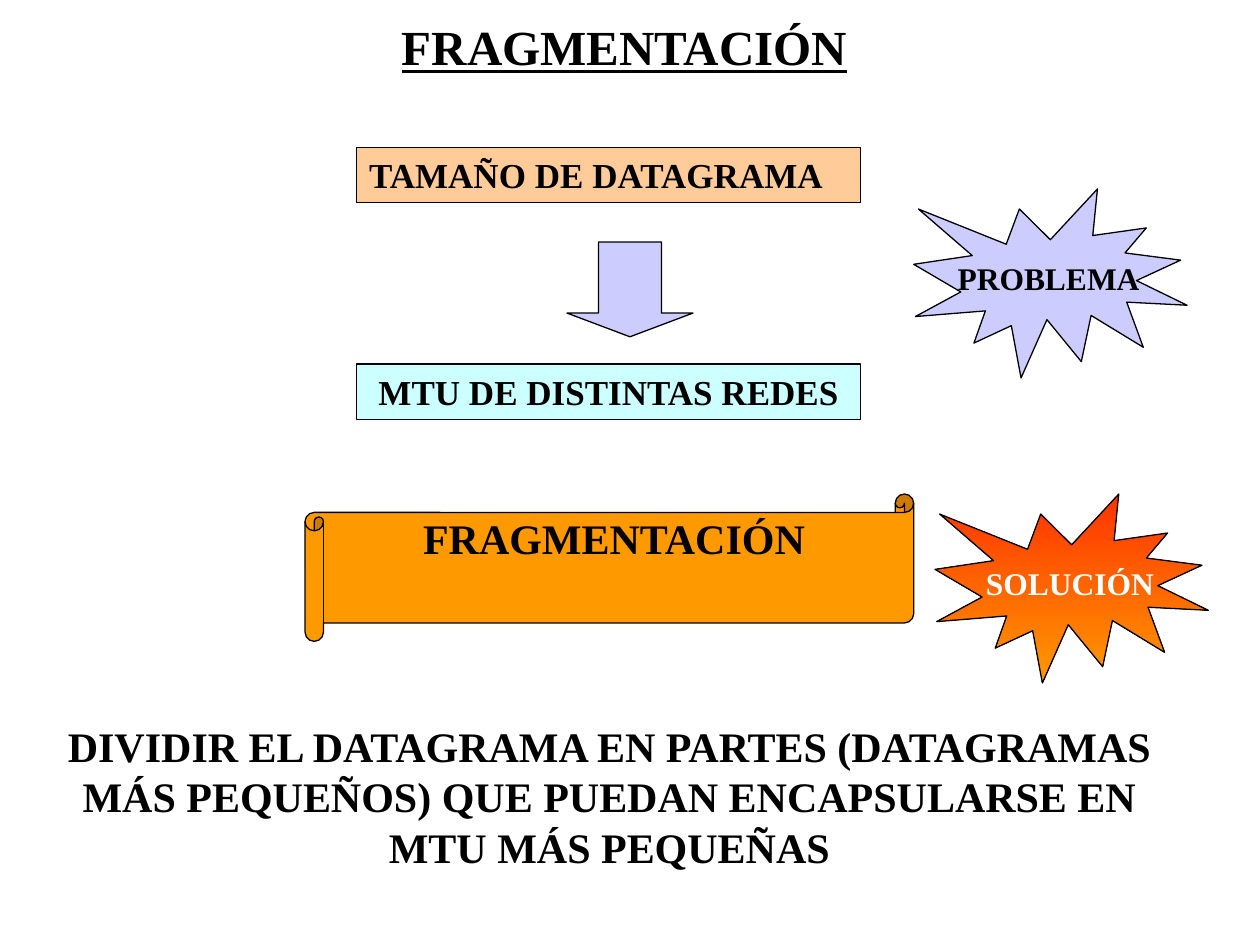
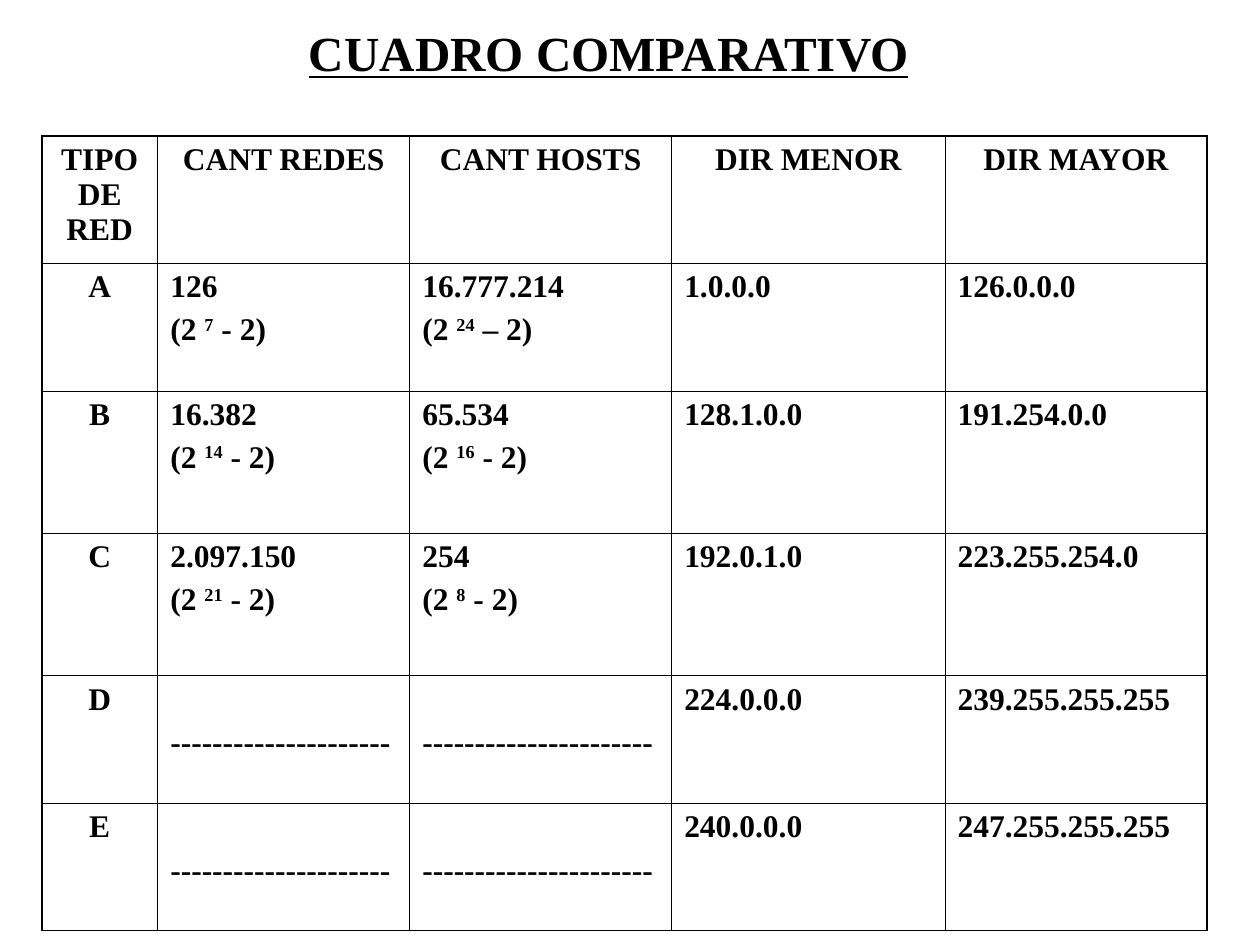
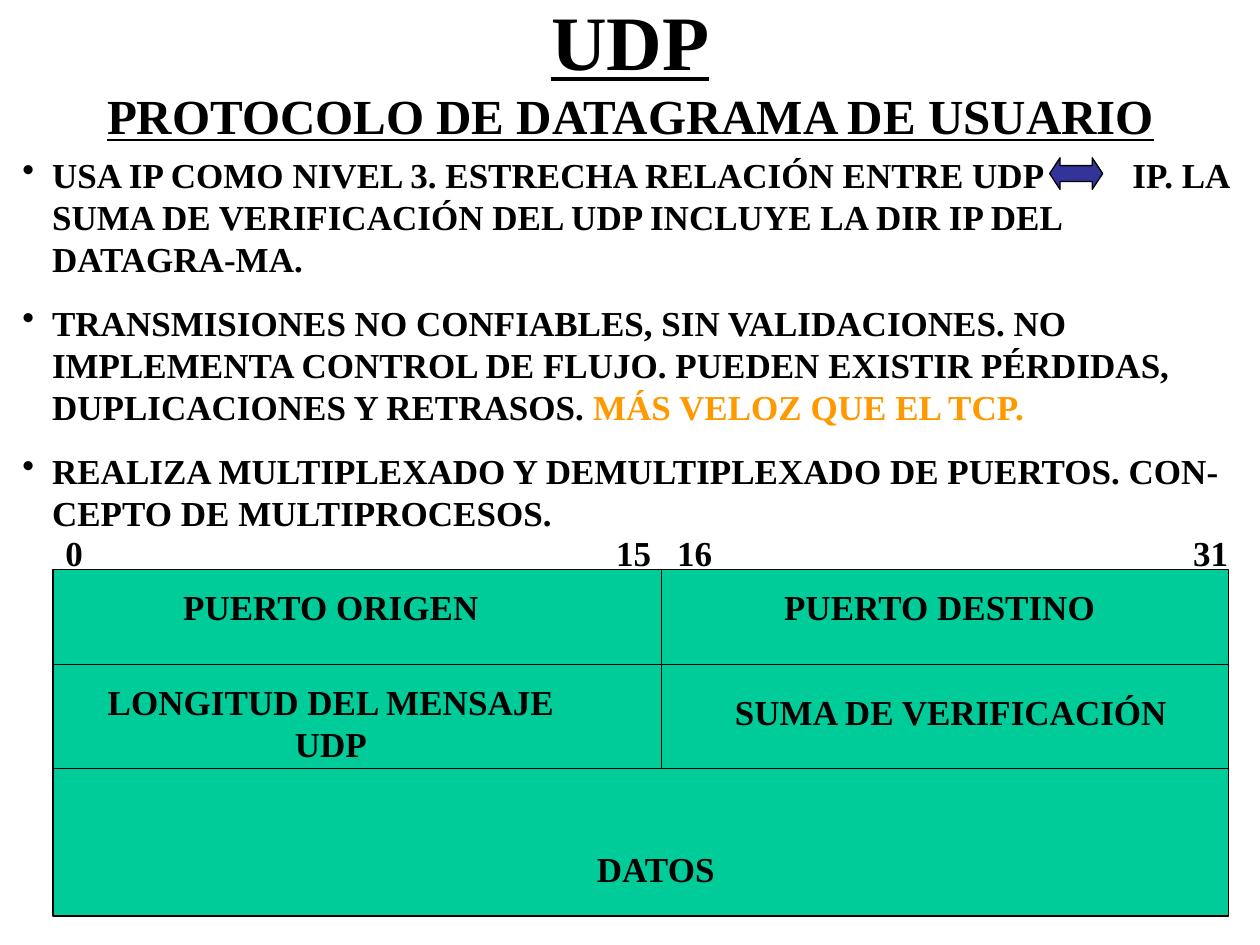
from dataclasses import dataclass
from typing import Any

from lxml.etree import SubElement
from pptx import Presentation
from pptx.dml.color import RGBColor
from pptx.enum.shapes import MSO_CONNECTOR, MSO_SHAPE
from pptx.enum.text import MSO_ANCHOR, MSO_AUTO_SIZE, PP_ALIGN
from pptx.oxml.ns import qn
from pptx.util import Cm, Pt


@dataclass(frozen=True)
class Theme:
    font: str = "Times New Roman"
    black: str = "000000"
    white: str = "FFFFFF"
    peach: str = "FFCC99"
    aqua: str = "CCFFFF"
    lilac: str = "CCCCFF"
    red: str = "FF3300"
    orange: str = "FF9900"
    green: str = "00CC99"
    navy: str = "333399"
    hero: float = 44
    title: float = 28
    large: float = 24
    body: float = 20
    small: float = 18
    line: float = 0.75
    outer: float = 1.08
    inner: float = 0.45


THEME = Theme()


@dataclass(frozen=True)
class Box:
    left: float
    top: float
    width: float
    height: float

    def sides(self) -> tuple[Cm, Cm, Cm, Cm]:
        return Cm(self.left), Cm(self.top), Cm(self.width), Cm(self.height)


@dataclass(frozen=True)
class Run:
    text: str
    size: float = THEME.body
    color: str = THEME.black
    under: bool | None = None
    raised: bool = False
    spread: float = 0


@dataclass(frozen=True)
class Figure:
    kind: MSO_SHAPE
    box: Box
    fill: tuple[str, ...]
    run: Run | None = None
    align: PP_ALIGN = PP_ALIGN.CENTER
    frame: tuple[tuple[str, Any], ...] = ()
    adjust: tuple[float, ...] = ()


Lines = list[list[Run]]
MIDDLE = (("vertical_anchor", MSO_ANCHOR.MIDDLE), ("word_wrap", False))
HIGH = (("vertical_anchor", MSO_ANCHOR.TOP), ("word_wrap", False), ("margin_top", 0))


def apply(target: Any, values: dict[str, Any]) -> None:
    for name, value in values.items():
        setattr(target, name, value)


def write(frame: Any, lines: Lines, align: PP_ALIGN = PP_ALIGN.LEFT,
          gap: float = 0, hang: float = 0) -> None:
    for row, runs in enumerate(lines):
        para = frame.paragraphs[0] if row == 0 else frame.add_paragraph()
        if hang:
            props = para._p.get_or_add_pPr()
            props.set("marL", str(Cm(hang)))
            props.set("indent", str(-Cm(hang)))
            SubElement(props, qn("a:buChar")).set("char", "•")
        apply(para, {"alignment": align, "space_before": Pt(gap if row else 0)})
        for item in runs:
            if item.text == "\n":
                para.add_line_break()
                continue
            run = para.add_run()
            run.text = item.text
            apply(run.font, {"name": THEME.font, "size": Pt(item.size),
                             "bold": True, "underline": item.under})
            run.font.color.rgb = RGBColor.from_string(item.color)
            props = run._r.get_or_add_rPr()
            if item.raised:
                props.set("baseline", "30000")
            if item.spread:
                props.set("spc", str(int(item.spread * 100)))


def start(deck: Any, box: Box, runs: list[Run]) -> Any:
    slide = deck.slides.add_slide(deck.slide_layouts[5])
    title = slide.shapes.title
    apply(title, dict(zip(("left", "top", "width", "height"), box.sides())))
    apply(title.text_frame, {"vertical_anchor": MSO_ANCHOR.MIDDLE,
                             "auto_size": MSO_AUTO_SIZE.NONE, "word_wrap": True})
    write(title.text_frame, [runs], PP_ALIGN.CENTER)
    return slide


def head(text: str, size: float = THEME.title) -> Run:
    return Run(text, size, under=True)


def label(slide: Any, box: Box, lines: Lines, align: PP_ALIGN = PP_ALIGN.CENTER,
          gap: float = 0, hang: float = 0) -> Any:
    frame = slide.shapes.add_textbox(*box.sides()).text_frame
    frame.word_wrap = True
    write(frame, lines, align, gap, hang)
    return frame


def draw(slide: Any, item: Figure) -> None:
    shape = slide.shapes.add_shape(item.kind, *item.box.sides())
    shape.shadow.inherit = False
    for index, value in enumerate(item.adjust):
        shape.adjustments[index] = value
    if len(item.fill) == 1:
        shape.fill.solid()
        shape.fill.fore_color.rgb = RGBColor.from_string(item.fill[0])
    else:
        shape.fill.gradient()
        shape.fill.gradient_angle = 270
        for stop, color in zip(shape.fill.gradient_stops, item.fill):
            stop.color.rgb = RGBColor.from_string(color)
    shape.line.color.rgb = RGBColor.from_string(THEME.black)
    shape.line.width = Pt(THEME.line)
    if item.run:
        apply(shape.text_frame, {"vertical_anchor": MSO_ANCHOR.TOP, "word_wrap": True})
        apply(shape.text_frame, dict(item.frame))
        write(shape.text_frame, [[item.run]], item.align)


def rule(slide: Any, *ends: float) -> None:
    line = slide.shapes.add_connector(MSO_CONNECTOR.STRAIGHT, *map(Cm, ends))
    line.line.color.rgb = RGBColor.from_string(THEME.black)
    line.line.width = Pt(THEME.line)
    SubElement(line._element.spPr, qn("a:effectLst"))


def edge(cell: Any, widths: dict[str, float]) -> None:
    props = cell._tc.get_or_add_tcPr()
    for index, (side, width) in enumerate(widths.items()):
        line = props.makeelement(qn(f"a:{side}"), {"w": str(Pt(width))})
        fill = SubElement(line, qn("a:solidFill"))
        SubElement(fill, qn("a:srgbClr")).set("val", THEME.black)
        props.insert(index, line)


def split(deck: Any) -> None:
    slide = start(deck, Box(6.55, 0.2, 12.07, 1.47), [head("FRAGMENTACIÓN")])
    figures = [
        Figure(MSO_SHAPE.RECTANGLE, Box(7.19, 2.97, 10.16, 1.12), (THEME.peach,),
               Run("TAMAÑO DE DATAGRAMA"), PP_ALIGN.LEFT),
        Figure(MSO_SHAPE.RECTANGLE, Box(7.19, 7.34, 10.16, 1.12), (THEME.aqua,),
               Run("MTU DE DISTINTAS REDES")),
        Figure(MSO_SHAPE.DOWN_ARROW, Box(11.43, 4.88, 2.54, 1.91), (THEME.lilac,),
               adjust=(0.5, 0.25)),
        Figure(MSO_SHAPE.EXPLOSION1, Box(18.42, 3.81, 5.51, 3.81), (THEME.lilac,),
               Run("PROBLEMA", THEME.small), frame=MIDDLE),
        Figure(MSO_SHAPE.EXPLOSION1, Box(18.85, 9.96, 5.51, 3.81),
               (THEME.red, THEME.orange),
               Run("SOLUCIÓN", THEME.small, THEME.white), frame=MIDDLE),
        Figure(MSO_SHAPE.HORIZONTAL_SCROLL, Box(6.15, 9.96, 12.27, 2.97),
               (THEME.orange,), Run("FRAGMENTACIÓN", THEME.large),
               frame=HIGH, adjust=(0.125,)),
    ]
    for item in figures:
        draw(slide, item)
    label(slide, Box(1.07, 14.4, 22.43, 3.3), [[Run(
        "DIVIDIR EL DATAGRAMA EN PARTES (DATAGRAMAS MÁS PEQUEÑOS) "
        "QUE PUEDAN ENCAPSULARSE EN MTU MÁS PEQUEÑAS", THEME.large)]])


@dataclass(frozen=True)
class Count:
    total: str
    power: str
    tail: str = " - 2)"

    def lines(self) -> Lines:
        size = THEME.small
        return [[Run(self.total, size)],
                [Run("(2 ", size), Run(self.power, size, raised=True),
                 Run(self.tail, size)]]


def compare(deck: Any) -> None:
    slide = start(deck, Box(4.65, 0.2, 15.24, 1.7), [head("CUADRO COMPARATIVO")])
    wide = (2.34, 5.08, 5.28, 5.51, 5.28)
    tall = (2.57, 2.57, 2.87, 2.87, 2.57, 2.57)
    dashes = ("-" * 21, "-" * 22)
    data = [
        ("TIPO DE RED", "CANT REDES", "CANT HOSTS", "DIR MENOR", "DIR MAYOR"),
        ("A", Count("126", "7"), Count("16.777.214", "24", " – 2)"),
         "1.0.0.0", "126.0.0.0"),
        ("B", Count("16.382", "14"), Count("65.534", "16"),
         "128.1.0.0", "191.254.0.0"),
        ("C", Count("2.097.150", "21"), Count("254", "8"),
         "192.0.1.0", "223.255.254.0"),
        ("D", *dashes, "224.0.0.0", "239.255.255.255"),
        ("E", *dashes, "240.0.0.0", "247.255.255.255"),
    ]
    box = Box(0.84, 2.74, sum(wide), sum(tall))
    table = slide.shapes.add_table(len(tall), len(wide), *box.sides()).table
    apply(table, {"first_row": False, "horz_banding": False})
    for column, width in zip(table.columns, wide):
        column.width = Cm(width)
    for row, height in zip(table.rows, tall):
        row.height = Cm(height)
    for r, values in enumerate(data):
        for c, value in enumerate(values):
            cell = table.cell(r, c)
            cell.fill.background()
            if value in dashes:
                cell.margin_top = Cm(1.01)
            lines = (value.lines() if isinstance(value, Count)
                     else [[Run(value, THEME.small)]])
            centred = r == 0 or c == 0
            write(cell.text_frame, lines,
                  PP_ALIGN.CENTER if centred else PP_ALIGN.LEFT, gap=4.5)
            rims = {"lnL": c == 0, "lnR": c == len(wide) - 1,
                    "lnT": r == 0, "lnB": r == len(tall) - 1}
            edge(cell, {side: THEME.outer if rim else THEME.inner
                        for side, rim in rims.items()})


def packet(deck: Any) -> None:
    slide = start(deck, Box(0.43, -0.2, 24.56, 3.18), [
        head("UDP", THEME.hero), Run("\n"), head("PROTOCOLO DE DATAGRAMA DE USUARIO")])
    label(slide, Box(0.2, 2.97, 25.2, 7.92), [
        [Run("USA IP COMO NIVEL 3. ESTRECHA RELACIÓN ENTRE UDP"),
         Run(" ", spread=45),
         Run("IP. LA SUMA DE VERIFICACIÓN DEL UDP INCLUYE LA DIR IP "
             "DEL DATAGRA-MA.")],
        [Run("TRANSMISIONES NO CONFIABLES, SIN VALIDACIONES. NO IMPLEMENTA "
             "CONTROL DE FLUJO. PUEDEN EXISTIR PÉRDIDAS, DUPLICACIONES Y "
             "RETRASOS. "),
         Run("MÁS VELOZ QUE EL TCP.", color=THEME.orange)],
        [Run("REALIZA MULTIPLEXADO Y DEMULTIPLEXADO DE PUERTOS. "
             "CON-CEPTO DE MULTIPROCESOS.")],
    ], PP_ALIGN.LEFT, gap=12.5, hang=0.6)

    grid = Box(1.07, 11.48, 23.7, 6.99)
    right, middle, low = grid.left + grid.width, 13.34, 15.49
    draw(slide, Figure(MSO_SHAPE.RECTANGLE, grid, (THEME.green,)))
    for y in (13.39, low):
        rule(slide, grid.left, y, right, y)
    rule(slide, middle, grid.top, middle, low)

    bits = label(slide, Box(grid.left, 10.59, 24.33, 1.12),
                 [[Run("0\t15\t16\t31")]], PP_ALIGN.LEFT)
    stops = SubElement(bits.paragraphs[0]._p.get_or_add_pPr(), qn("a:tabLst"))
    for place, side in ((11.81, "r"), (12.33, "l"), (23.44, "r")):
        stop = SubElement(stops, qn("a:tab"))
        stop.set("pos", str(Cm(place)))
        stop.set("algn", side)

    fields = [
        (1.27, 11.68, 1.12, "PUERTO ORIGEN"),
        (13.54, 11.68, 1.12, "PUERTO DESTINO"),
        (1.27, 13.59, 1.96, "LONGITUD DEL MENSAJE UDP"),
        (13.77, 13.79, 1.12, "SUMA DE VERIFICACIÓN"),
        (7.82, 16.97, 1.12, "DATOS"),
    ]
    for left, top, height, text in fields:
        label(slide, Box(left, top, 10.8, height), [[Run(text)]])
    draw(slide, Figure(MSO_SHAPE.LEFT_RIGHT_ARROW, Box(21.16, 3.18, 1.07, 0.64),
                       (THEME.navy,), adjust=(0.5, 0.33)))


def main() -> None:
    deck = Presentation()
    apply(deck, {"slide_width": Cm(25.4), "slide_height": Cm(19.05)})
    for build in (split, compare, packet):
        build(deck)
    deck.save("out.pptx")


if __name__ == "__main__":
    main()
